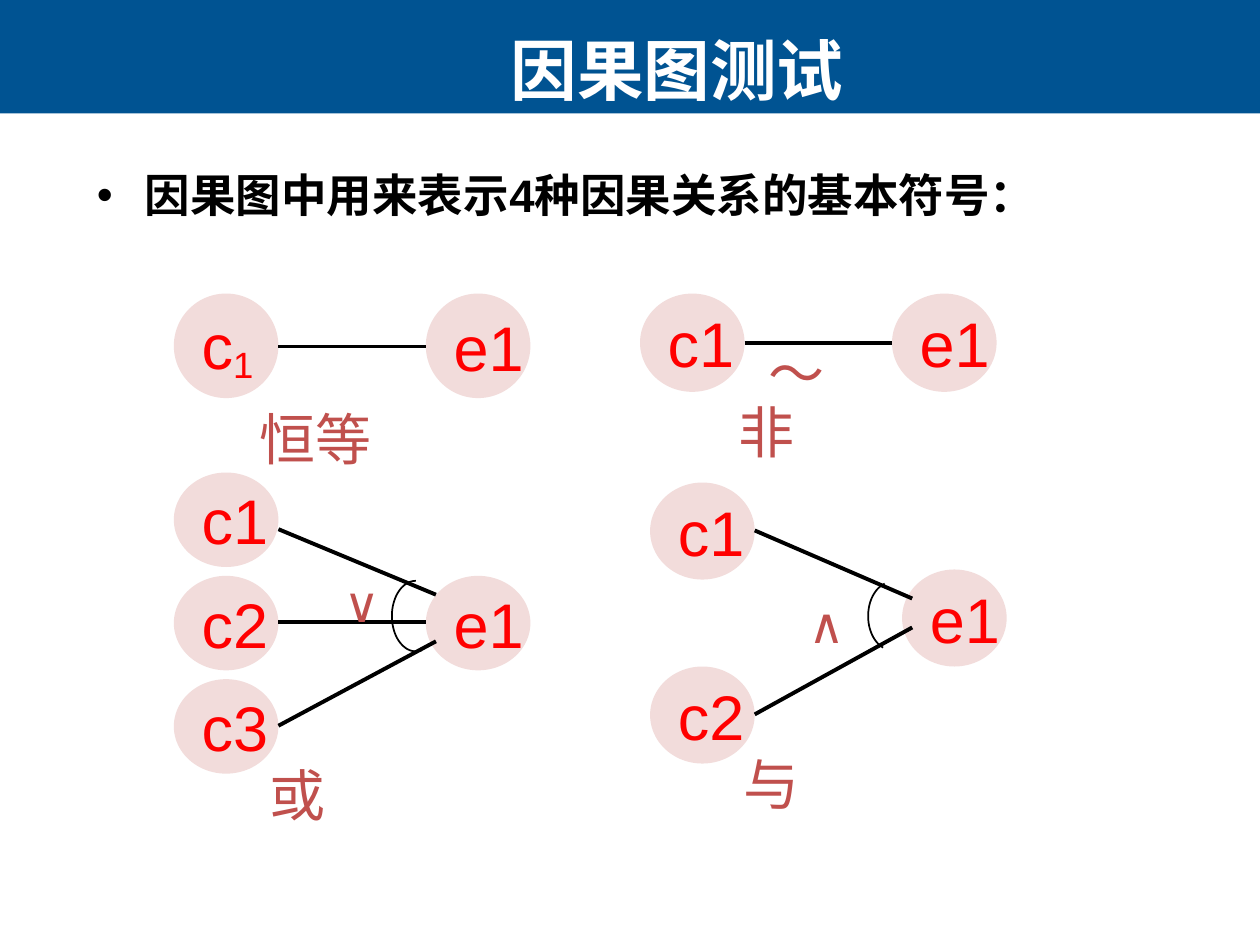
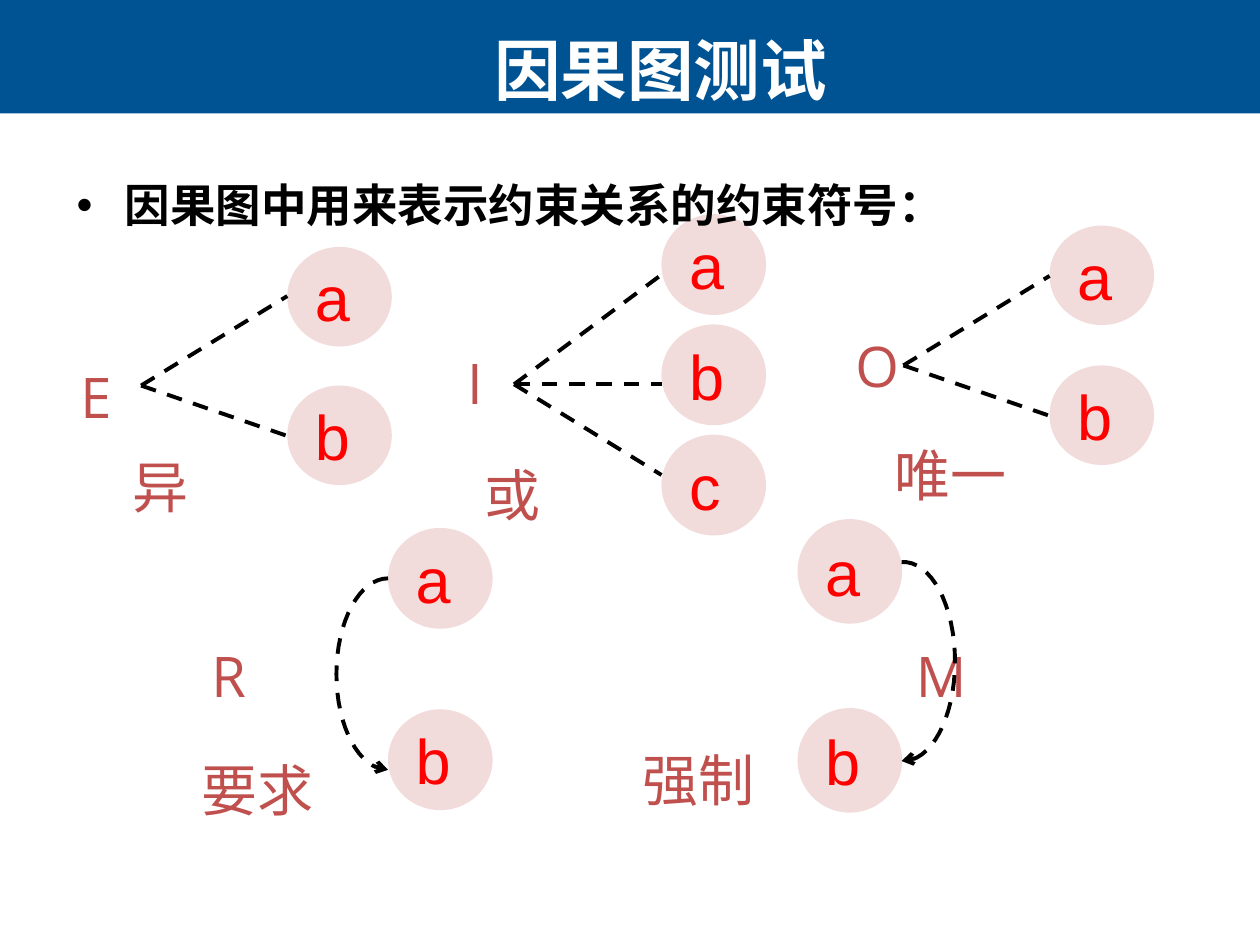
import math

import lxml.etree
import pptx
import pptx.dml.color
import pptx.enum.dml
import pptx.enum.shapes
import pptx.enum.text
import pptx.oxml.ns
import pptx.util

Inches = pptx.util.Inches
ALIGN = pptx.enum.text.PP_ALIGN
ANCHOR = pptx.enum.text.MSO_ANCHOR
SHAPES = pptx.enum.shapes.MSO_SHAPE

BLUE = "005392"
WHITE = "FFFFFF"
BLACK = "000000"
PINK = "F2DCDB"
RED = "FF0000"
BRICK = "C0504D"
CJK_FONT = "Noto Sans CJK SC"
TITLE = "因果图测试"
NODE_WIDTH = 0.83


def color(value):
    return pptx.dml.color.RGBColor.from_string(value)


def add_child(parent, tag, **attributes):
    return lxml.etree.SubElement(parent, pptx.oxml.ns.qn(tag), attributes)


def add_run(para, text, size, font, hue, bold=False, baseline=None):
    span = para.add_run()
    span.text = text
    span.font.size = pptx.util.Pt(size)
    span.font.name = font
    span.font.bold = bold
    span.font.color.rgb = color(hue)
    properties = span._r.get_or_add_rPr()
    add_child(properties, "a:ea", typeface=CJK_FONT)
    if baseline:
        properties.set("baseline", baseline)


def add_box(page, left, top, width, height):
    box = page.shapes.add_textbox(Inches(left), Inches(top), Inches(width), Inches(height))
    box.text_frame.word_wrap = True
    return box.text_frame


def add_band(deck, page, layout):
    band = page.shapes.add_shape(SHAPES.RECTANGLE, 0, 0, deck.slide_width, Inches(0.9))
    band.shadow.inherit = False
    band.fill.solid()
    band.fill.fore_color.rgb = color(BLUE)
    band.line.fill.background()
    layout.shapes.element.append(band.element)


def add_title(page, left):
    frame = add_box(page, left, -0.42, 8.75, 1.33)
    frame.vertical_anchor = ANCHOR.BOTTOM
    para = frame.paragraphs[0]
    para.alignment = ALIGN.CENTER
    add_run(para, " ", 38, CJK_FONT, "1F497D", True)
    add_run(para, TITLE, 38, CJK_FONT, WHITE, True)


def add_bullet(page, left, top, text):
    para = add_box(page, left, top, 8.58, 0.87).paragraphs[0]
    para.alignment = ALIGN.JUSTIFY
    para.line_spacing = 1.3
    properties = para._p.get_or_add_pPr()
    properties.set("marL", str(Inches(0.38)))
    properties.set("indent", str(-Inches(0.38)))
    add_child(properties, "a:buFont", typeface="Arial")
    add_child(properties, "a:buChar", char="•")
    add_run(para, text, 26, "Arial", BLACK, True)


def add_node(page, left, top, height, text, subscript=None):
    node = page.shapes.add_shape(
        SHAPES.OVAL, Inches(left), Inches(top), Inches(NODE_WIDTH), Inches(height))
    node.shadow.inherit = False
    node.fill.solid()
    node.fill.fore_color.rgb = color(PINK)
    node.line.fill.background()
    frame = node.text_frame
    frame.word_wrap = False
    frame.vertical_anchor = ANCHOR.MIDDLE
    para = frame.paragraphs[0]
    para.alignment = ALIGN.LEFT
    add_run(para, text, 36, "Arial", RED)
    if subscript:
        add_run(para, subscript, 36, "Arial", RED, baseline="-14000")


def add_label(page, left, top, text, width=1.5, size=32):
    frame = add_box(page, left, top, width, 0.63 if size == 32 else 0.57)
    frame.auto_size = pptx.enum.text.MSO_AUTO_SIZE.SHAPE_TO_FIT_TEXT
    add_run(frame.paragraphs[0], text, size, "Open Sans", BRICK)


def style_line(line, width, dashed):
    line.color.rgb = color(BLACK)
    line.width = pptx.util.Pt(width)
    if dashed:
        line.dash_style = pptx.enum.dml.MSO_LINE.DASH


def add_line(page, start, end, dashed=False):
    line = page.shapes.add_connector(
        pptx.enum.shapes.MSO_CONNECTOR.STRAIGHT, *map(Inches, start + end))
    style_line(line.line, 2.25, dashed)
    add_child(line.element.spPr, "a:effectLst")


def add_arc(page, center, radii, first, last, width=1, arrow=False):
    steps = 32
    points = []
    for step in range(steps + 1):
        angle = math.radians(first + (last - first) * step / steps)
        points.append((Inches(center[0] + radii[0] * math.cos(angle)),
                       Inches(center[1] - radii[1] * math.sin(angle))))
    builder = page.shapes.build_freeform(*points[0])
    builder.add_line_segments(points[1:], close=False)
    arc = builder.convert_to_shape()
    arc.shadow.inherit = False
    arc.fill.background()
    style_line(arc.line, width, arrow)
    if arrow:
        add_child(arc.line._get_or_add_ln(), "a:tailEnd", type="arrow")


def add_pair(page, left, top, height, line_y):
    add_node(page, left + 2, top, height, "e1")
    add_line(page, (left + NODE_WIDTH, line_y), (left + 2, line_y))


def add_fan(page, apex, ends):
    for end in ends:
        add_line(page, apex, end, dashed=True)


def add_column(page, left, top, gap, height, names):
    for index, name in enumerate(names):
        add_node(page, left, top + index * gap, height, name)


def build_relations(page):
    add_node(page, 1.38, 2.33, 0.83, "c", "1")
    add_pair(page, 1.38, 2.33, 0.83, 2.75)
    add_label(page, 1.96, 3.16, "恒等")

    add_node(page, 5.08, 2.33, 0.78, "c1")
    add_pair(page, 5.08, 2.33, 0.78, 2.72)
    add_label(page, 5.66, 3.11, " 非")
    add_label(page, 6, 2.64, "～", 0.92)

    add_column(page, 1.38, 3.75, 0.82, 0.75, ("c1", "c2", "c3"))
    add_pair(page, 1.38, 4.57, 0.75, 4.94)
    add_line(page, (2.21, 4.2), (3.46, 4.72))
    add_line(page, (2.21, 5.76), (3.46, 5.09))
    add_label(page, 2.04, 5.99, "或")
    add_label(page, 2.63, 4.5, "∨", 0.58, 28)
    add_arc(page, (3.3, 4.89), (0.19, 0.28), 90, 285)

    add_column(page, 5.16, 3.83, 1.46, 0.77, ("c1", "c2"))
    add_node(page, 7.16, 4.52, 0.77, "e1")
    add_line(page, (5.99, 4.21), (7.24, 4.75))
    add_line(page, (5.99, 5.67), (7.24, 4.98))
    add_label(page, 5.8, 5.9, "与")
    add_label(page, 6.32, 4.67, "∧", 0.58, 28)
    add_arc(page, (7.08, 4.89), (0.19, 0.27), 108, 248)

    add_bullet(page, 0.67, 1.15, "因果图中用来表示4种因果关系的基本符号：")
    add_title(page, 0.94)


def build_constraints(page):
    add_column(page, 2.28, 1.96, 1.1, 0.79, "ab")
    add_fan(page, (1.12, 3.06), ((2.28, 2.35), (2.28, 3.46)))
    add_label(page, 0.54, 2.83, "E", 1)
    add_label(page, 0.95, 3.54, "异")

    add_column(page, 5.25, 1.7, 0.875, 0.8, "abc")
    add_fan(page, (4.08, 3.05), ((5.25, 2.18), (5.25, 3.05), (5.25, 3.77)))
    add_label(page, 3.61, 2.72, "I", 1)
    add_label(page, 3.75, 3.61, "或")

    add_column(page, 8.33, 1.79, 1.11, 0.79, "ab")
    add_fan(page, (7.17, 2.9), ((8.33, 2.19), (8.33, 3.3)))
    add_label(page, 6.69, 2.58, "O", 0.83)
    add_label(page, 7, 3.45, "唯一")

    add_column(page, 3.08, 4.19, 1.44, 0.8, "ab")
    add_arc(page, (3.08, 5.35), (0.41, 0.76), 90, 270, 2.25, arrow=True)
    add_label(page, 1.58, 5.04, "R")
    add_label(page, 1.5, 5.95, "要求")

    add_column(page, 6.33, 4.12, 1.5, 0.83, "ab")
    add_label(page, 7.17, 5.04, "M")
    add_label(page, 5, 5.87, "强制")
    add_arc(page, (7.17, 5.25), (0.41, 0.79), 92, -92, 2.25, arrow=True)

    add_bullet(page, 0.51, 1.23, "因果图中用来表示约束关系的约束符号：")
    add_title(page, 0.81)


def main():
    deck = pptx.Presentation()
    deck.slide_width = Inches(10)
    deck.slide_height = Inches(7.5)
    blank = deck.slide_layouts[6]
    relations = deck.slides.add_slide(blank)
    constraints = deck.slides.add_slide(blank)
    add_band(deck, relations, blank)
    build_relations(relations)
    build_constraints(constraints)
    deck.save("out.pptx")


main()
